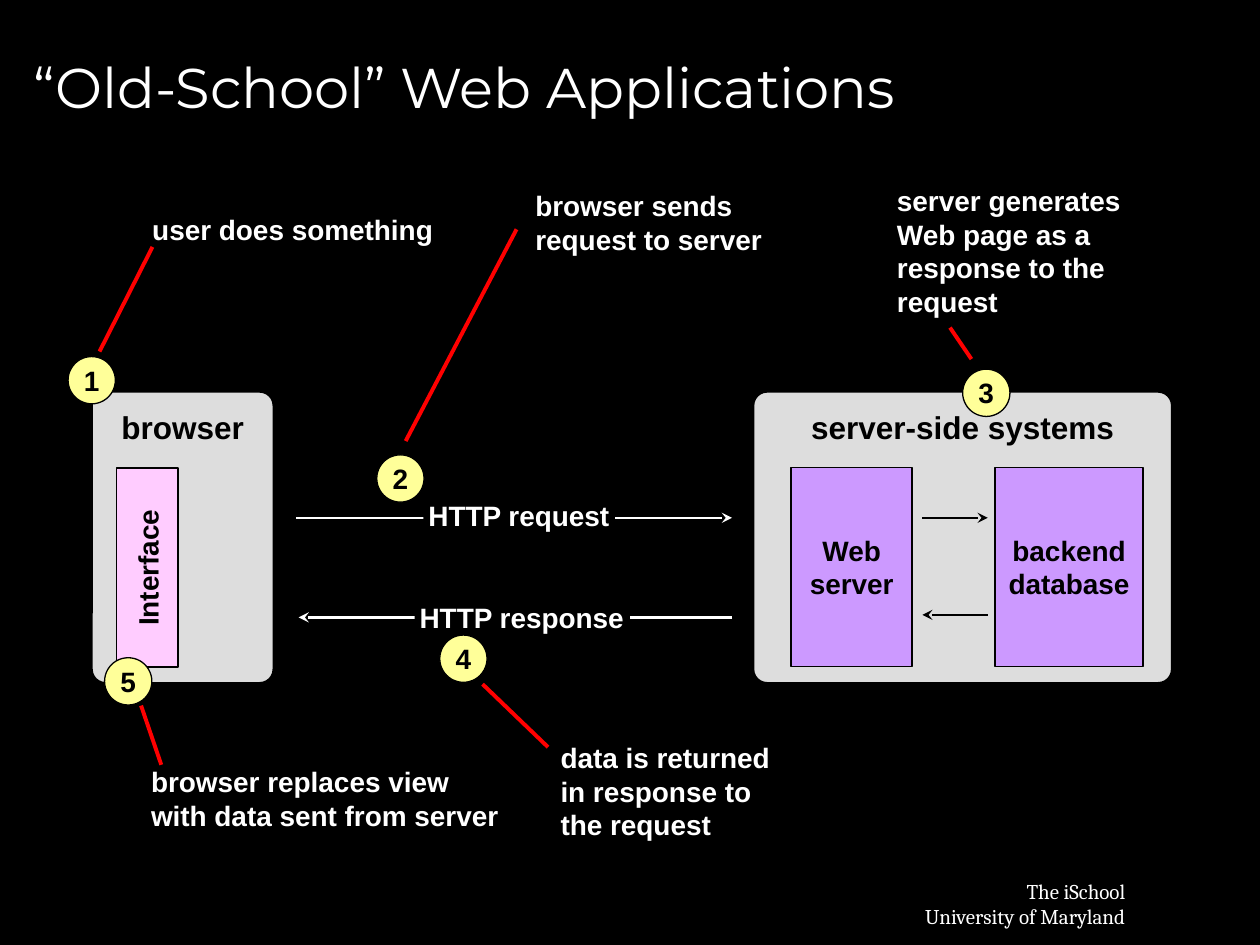
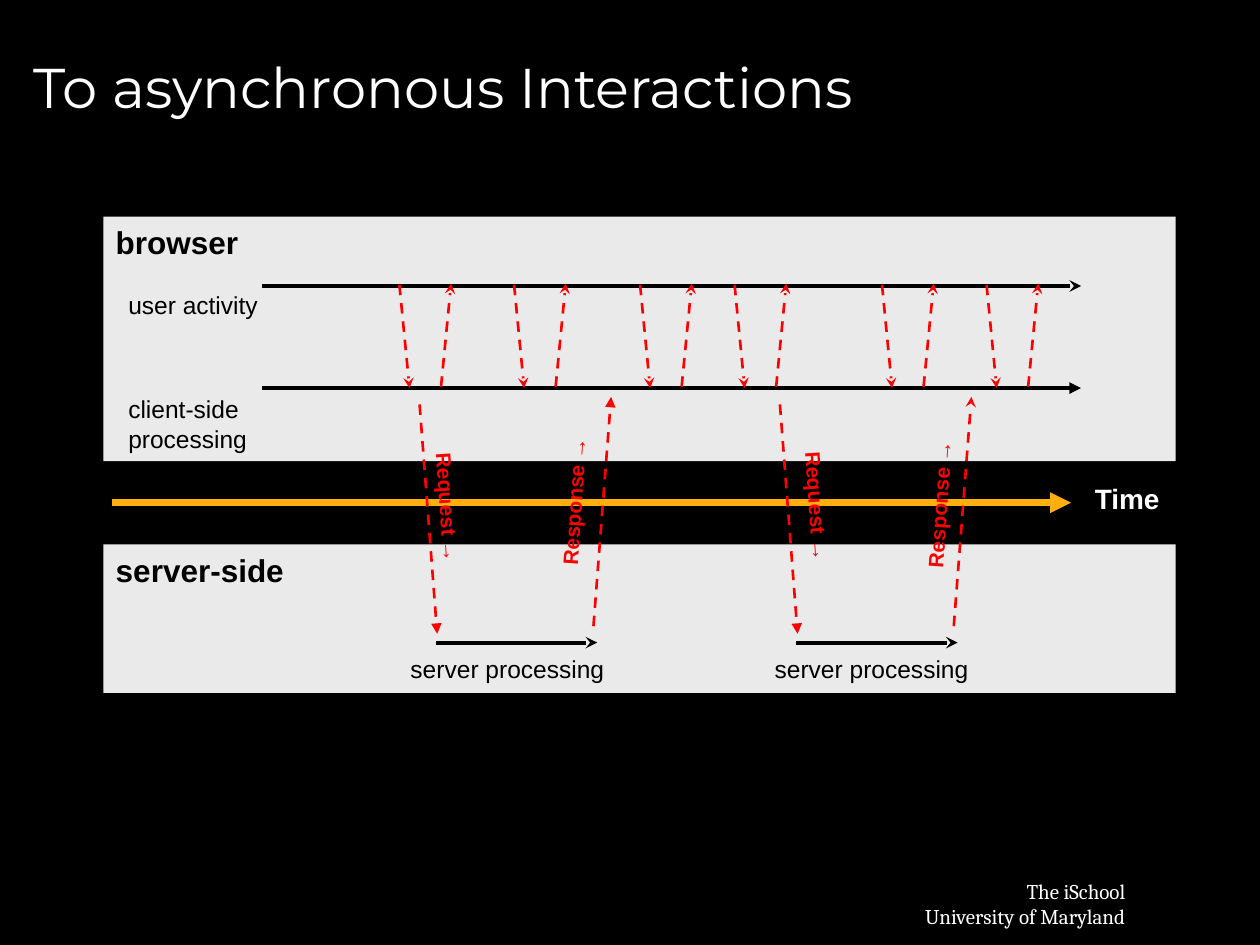
from lxml import etree
from pptx import Presentation
from pptx import util as u
from pptx.dml.color import RGBColor
from pptx.enum import dml, shapes, text
from pptx.oxml import ns

COLORS = {
    "black": "000000", "white": "FFFFFF", "red": "FF0000",
    "panel": "DDDDDD", "band": "EAEAEA", "purple": "CC99FF",
    "pink": "FFCCFF", "yellow": "FFFF99", "orange": "FFB00F",
}
FOOTER = "The iSchool\nUniversity of Maryland"
TITLES = ["“Old-School” Web Applications", "To asynchronous Interactions"]

PANELS = [("browser", (0.73, 3.11, 1.44, 2.31)),
          ("server-side systems", (5.98, 3.11, 3.32, 2.31))]
BACKEND = [("Web\nserver", (6.28, 3.71, 0.96, 1.58)),
           ("backend database", (7.9, 3.71, 1.17, 1.58))]
INTERFACE = ("Interface", (0.38, 4.26, 1.58, 0.49))
MESSAGES = [
    ("black", (7.32, 4.11), (7.84, 4.11)),
    ("black", (7.84, 4.88), (7.32, 4.88)),
    ("white", (2.35, 4.11), (5.81, 4.11)),
    ("white", (5.81, 4.9), (2.37, 4.9)),
]
HTTP_LABELS = [("HTTP request", (3.36, 3.91, 1.52, 0.37)),
               ("HTTP response", (3.29, 4.72, 1.71, 0.37))]
STEP_SIZE = 0.375
STEPS = [
    ((0.54, 2.83), "user does something", (1.11, 1.64, 2.59, 0.37),
     (1.21, 1.96), (0.79, 2.79)),
    ((2.99, 3.61), "browser sends request to server", (4.15, 1.45, 2.42, 0.64),
     (4.1, 1.82), (3.22, 3.5)),
    ((7.64, 2.93), "server generates Web page as a response to the request",
     (7.02, 1.41, 2.42, 1.17), (7.54, 2.6), (7.71, 2.85)),
    ((3.49, 5.04), "data is returned in response to the request",
     (4.35, 5.83, 2.05, 0.9), (3.83, 5.43), (4.35, 5.93)),
    ((0.83, 5.22), "browser replaces view with data sent from server",
     (1.1, 6.02, 2.98, 0.64), (1.12, 5.6), (1.28, 6.07)),
]

BANDS = [("browser", (0.82, 1.72, 8.51, 1.94)),
         ("server-side", (0.82, 4.32, 8.51, 1.18))]
TIME = ("Time", (8.59, 3.77, 0.71, 0.37))
TIMELINES = [("user activity", 2.27, "stealth", (0.92, 2.25, 1.23, 0.34)),
             ("client-side processing", 3.08, "triangle", (0.92, 3.08, 2.07, 0.34))]
EXCHANGES = [3.17, 4.08, 5.08, 5.83, 7, 7.83]
ROUND_TRIPS = [
    {"x": 3.33, "head": "triangle", "label": (3.16, 5.14),
     "request": (3.02, 3.88), "response": (3.95, 3.83)},
    {"x": 6.19, "head": "stealth", "label": (6.05, 5.14),
     "request": (5.95, 3.87), "response": (6.85, 3.85)},
]


def rgb(name):
    return RGBColor.from_string(COLORS[name])


def write(sp, words, size=16, color="black", bold=True, font="Arial", align="l",
          middle=False, wrap=False, inset=(0.1, 0.05)):
    tf = sp.text_frame
    tf.text = words
    tf.word_wrap = wrap
    tf.margin_left = tf.margin_right = u.Inches(inset[0])
    tf.margin_top = tf.margin_bottom = u.Inches(inset[1])
    tf.vertical_anchor = text.MSO_ANCHOR.MIDDLE if middle else text.MSO_ANCHOR.TOP
    for p in tf.paragraphs:
        p.alignment = {"l": text.PP_ALIGN.LEFT, "c": text.PP_ALIGN.CENTER,
                       "r": text.PP_ALIGN.RIGHT}[align]
        for r in p.runs:
            r.font.size = u.Pt(size)
            r.font.name = font
            r.font.bold = bold
            r.font.color.rgb = rgb(color)


def label(parent, words, box, rotation=0, **style):
    sp = parent.add_textbox(*map(u.Inches, box))
    sp.rotation = rotation
    write(sp, words, **style)


def block(parent, kind, words, box, fill, outline=None, rotation=0, **style):
    sp = parent.add_shape(kind, *map(u.Inches, box))
    sp.shadow.inherit = False
    sp.rotation = rotation
    sp.fill.solid()
    sp.fill.fore_color.rgb = rgb(fill)
    if outline:
        sp.line.color.rgb = rgb("black")
        sp.line.width = u.Pt(outline)
    else:
        sp.line.fill.background()
    write(sp, words, **style)
    return sp


def arrow(parent, start, end, color, width, head=None, dashed=False):
    sp = parent.add_connector(shapes.MSO_CONNECTOR.STRAIGHT,
                              *map(u.Inches, (*start, *end)))
    sp.line.color.rgb = rgb(color)
    sp.line.width = u.Pt(width)
    if dashed:
        sp.line.dash_style = dml.MSO_LINE.DASH
    if head:
        ln = sp.line._get_or_add_ln()
        etree.SubElement(ln, ns.qn("a:tailEnd"), type=head)
    etree.SubElement(sp._element.spPr, ns.qn("a:effectLst"))


def new_slide(prs, title):
    s = prs.slides.add_slide(prs.slide_layouts[6])
    label(s.shapes, FOOTER, (7.09, 6.92, 1.94, 0.5), size=12, color="white",
          bold=False, font="Cambria", align="r")
    label(s.shapes, title, (0.17, 0.12, 9.5, 1.12), size=32, color="white",
          bold=False, font="Montserrat", middle=True, wrap=True)
    return s.shapes


def build_old_school(parent):
    kinds = shapes.MSO_SHAPE
    for words, box in PANELS:
        sp = block(parent, kinds.ROUNDED_RECTANGLE, words, box, "panel", 1,
                   size=18, align="c", inset=(0.05, 0.1))
        sp.adjustments[0] = 0.047 * 2.31 / min(box[2:])
    for words, box in BACKEND:
        block(parent, kinds.RECTANGLE, words, box, "purple", 1,
              align="c", middle=True, wrap=True)
    block(parent, kinds.RECTANGLE, *INTERFACE, "pink", 1, rotation=270,
          align="c", middle=True)
    for color, start, end in MESSAGES:
        arrow(parent, start, end, color, 1.5, "stealth")
    for words, box in HTTP_LABELS:
        block(parent, kinds.RECTANGLE, words, box, "black", color="white",
              inset=(0.04, 0.05))
    for number, (spot, note, box, start, end) in enumerate(STEPS, 1):
        step = parent.add_group_shape().shapes
        block(step, kinds.OVAL, str(number), (*spot, STEP_SIZE, STEP_SIZE),
              "yellow", 0.75, align="c", middle=True)
        label(step, note, box, color="white", wrap=True)
        arrow(step, start, end, "red", 2.25)


def build_asynchronous(parent):
    for words, box in BANDS:
        block(parent, shapes.MSO_SHAPE.RECTANGLE, words, box, "band", size=18)
    arrow(parent, (0.89, 3.99), (8.5, 3.99), "orange", 4, "triangle")
    label(parent, *TIME, color="white")
    for words, y, head, box in TIMELINES:
        arrow(parent, (2.08, y), (8.58, y), "black", 2.25, head)
        label(parent, words, box, size=14, bold=False)
    for x in EXCHANGES:
        arrow(parent, (x, 2.26), (x + 0.08, 3.08), "red", 1.5, "stealth", True)
        arrow(parent, (x + 0.33, 3.07), (x + 0.41, 2.25), "red", 1.5, "stealth", True)
    for trip in ROUND_TRIPS:
        x = trip["x"]
        arrow(parent, (x + 0.13, 5.1), (x + 1.41, 5.1), "black", 2.25, "stealth")
        arrow(parent, (x, 3.21), (x + 0.14, 5.03), "red", 1.5, "triangle", True)
        arrow(parent, (x + 1.38, 4.97), (x + 1.52, 3.15), "red", 1.5, trip["head"], True)
        label(parent, "server processing", (*trip["label"], 1.74, 0.34),
              size=14, bold=False)
        label(parent, "Request →", (*trip["request"], 1.07, 0.3), 86.1,
              size=12, color="red")
        label(parent, "Response →", (*trip["response"], 1.21, 0.3), 273.9,
              size=12, color="red")


def main():
    prs = Presentation()
    prs.slide_width, prs.slide_height = u.Inches(10), u.Inches(7.5)
    fill = prs.slide_master.background.fill
    fill.solid()
    fill.fore_color.rgb = rgb("black")
    for title, build in zip(TITLES, (build_old_school, build_asynchronous)):
        build(new_slide(prs, title))
    prs.save("out.pptx")


if __name__ == "__main__":
    main()
